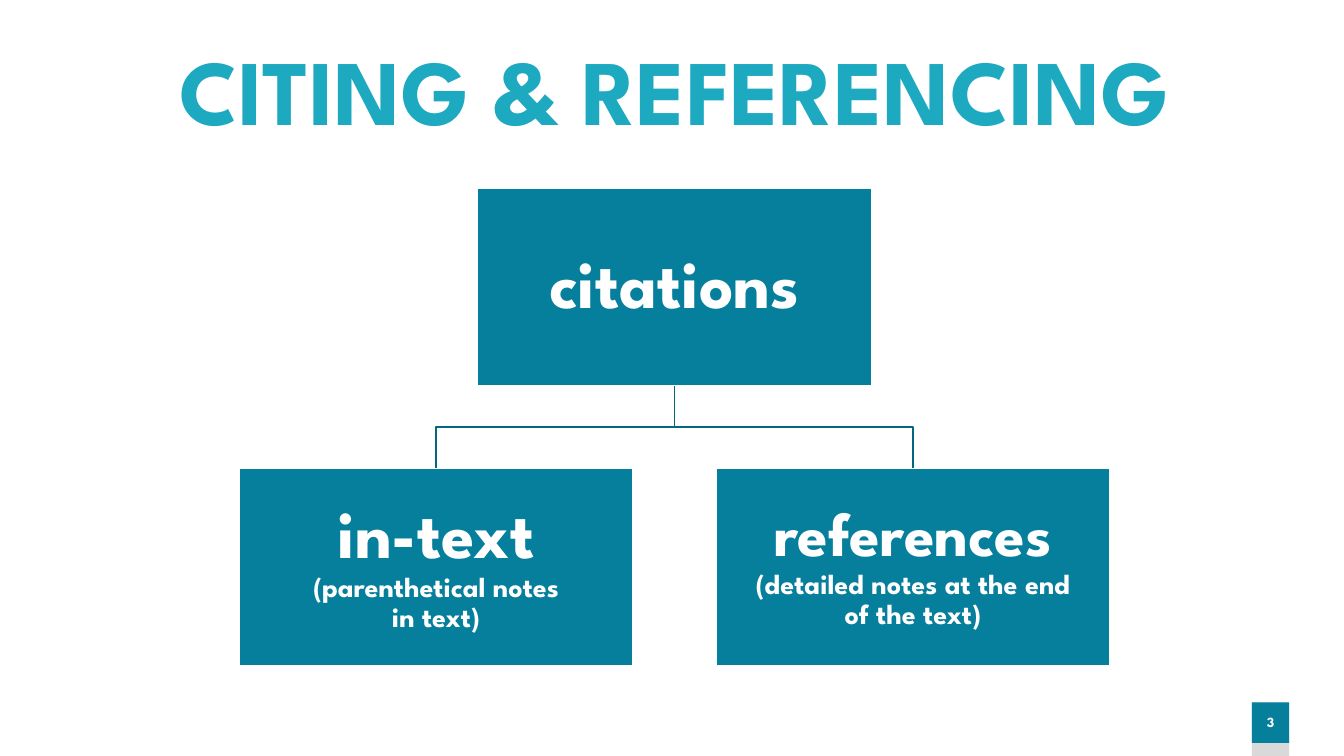
import pptx
import pptx.util
import pptx.dml.color
import pptx.enum.shapes
import pptx.enum.text

Cm = pptx.util.Cm
Pt = pptx.util.Pt
RGBColor = pptx.dml.color.RGBColor
Anchor = pptx.enum.text.MSO_ANCHOR

WHITE = RGBColor(0xFF, 0xFF, 0xFF)
TEAL = RGBColor(0x06, 0x7F, 0x9C)
DARK_TEAL = RGBColor(0x05, 0x66, 0x7D)
AQUA = RGBColor(0x1D, 0xA9, 0xBF)
GRAY = RGBColor(0xD9, 0xD9, 0xD9)


class Deck:
    font = "League Spartan"
    line_spacing = 0.9

    def __init__(self, width, height):
        self.prs = pptx.Presentation()
        self.prs.slide_width = Cm(width)
        self.prs.slide_height = Cm(height)
        self.s = self.prs.slides.add_slide(self.prs.slide_layouts[6])

    def add_lines(self, sp, lines, color, anchor, margins):
        tf = sp.text_frame
        tf.word_wrap = True
        tf.vertical_anchor = anchor
        tf.margin_left = tf.margin_right = Cm(margins[0])
        tf.margin_top = tf.margin_bottom = Cm(margins[1])
        p = tf.paragraphs[0]
        p.alignment = pptx.enum.text.PP_ALIGN.CENTER
        p.line_spacing = self.line_spacing
        for i, (text, size) in enumerate(lines):
            if i:
                p.add_line_break()
            r = p.add_run()
            r.text = text
            r.font.name = self.font
            r.font.size = Pt(size)
            r.font.bold = True
            r.font.color.rgb = color

    def text(self, x, y, w, h, lines, color):
        sp = self.s.shapes.add_textbox(Cm(x), Cm(y), Cm(w), Cm(h))
        self.add_lines(sp, lines, color, Anchor.TOP, (0.25, 0.13))

    def rect(self, x, y, w, h, fill, lines=(), line=None, margins=(0.08, 0.08)):
        sp = self.s.shapes.add_shape(
            pptx.enum.shapes.MSO_SHAPE.RECTANGLE, Cm(x), Cm(y), Cm(w), Cm(h))
        sp.shadow.inherit = False
        sp.fill.solid()
        sp.fill.fore_color.rgb = fill
        if line is None:
            sp.line.fill.background()
        else:
            sp.line.color.rgb = line
            sp.line.width = Pt(1)
        if lines:
            self.add_lines(sp, lines, WHITE, Anchor.MIDDLE, margins)

    def elbow(self, x1, y1, x2, y2):
        mid = (y1 + y2) / 2
        fb = self.s.shapes.build_freeform(Cm(x1), Cm(y1))
        fb.add_line_segments(
            [(Cm(x), Cm(y)) for x, y in ((x1, mid), (x2, mid), (x2, y2))],
            close=False)
        sp = fb.convert_to_shape()
        sp.shadow.inherit = False
        sp.fill.background()
        sp.line.color.rgb = DARK_TEAL
        sp.line.width = Pt(1)


def main():
    deck = Deck(33.87, 19.05)

    page_x, page_y, page_w = 31.55, 17.7, 0.94
    deck.rect(page_x, page_y, page_w, 1.35, GRAY)
    deck.rect(page_x, page_y, page_w, 1.02, TEAL, [("3", 10)], margins=(0, 0.13))

    box_w, box_h = 9.93, 4.96
    center, offset = 17, 6.01
    top_y, child_y = 4.75, 11.81
    boxes = [
        (center, top_y, [("citations", 48)]),
        (center - offset, child_y,
         [("in-text", 48), ("(parenthetical notes", 20), ("in text)", 20)]),
        (center + offset, child_y,
         [("references", 44), ("(detailed notes at the end", 20), ("of the text)", 20)]),
    ]
    for x, y, lines in boxes[1:]:
        deck.elbow(center, top_y + box_h, x, y)
    for x, y, lines in boxes:
        deck.rect(x - box_w / 2, y, box_w, box_h, TEAL, lines, WHITE)

    deck.text(1.55, 1.02, 30.89, 1.63, [("CITING & REFERENCING", 66)], AQUA)
    deck.prs.save("out.pptx")


if __name__ == "__main__":
    main()
